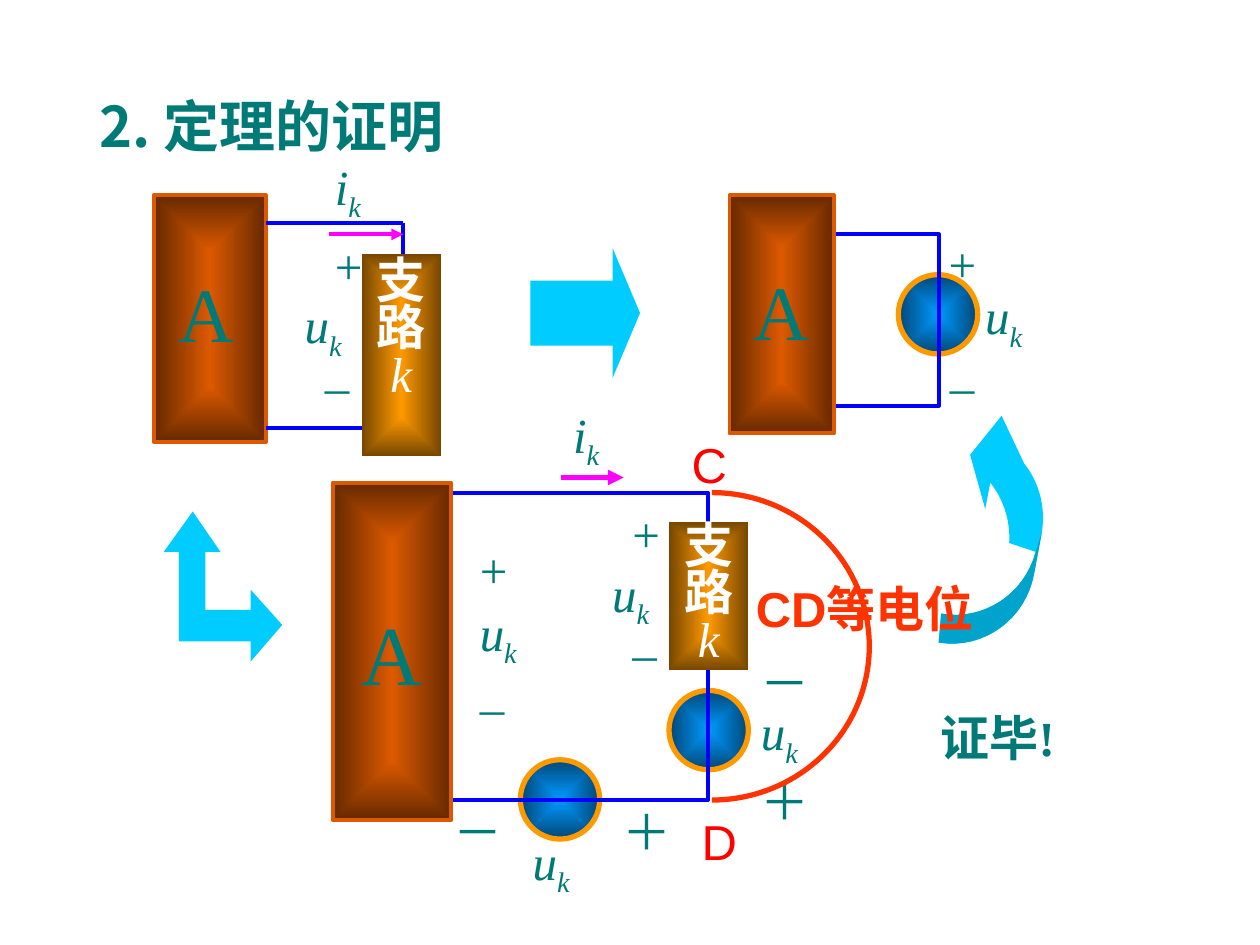
from lxml.etree import SubElement
from pptx import Presentation
from pptx.dml.color import RGBColor
from pptx.enum.shapes import MSO_CONNECTOR, MSO_SHAPE
from pptx.enum.text import MSO_ANCHOR, PP_ALIGN
from pptx.oxml import parse_xml
from pptx.oxml.ns import nsdecls, qn
from pptx.util import Inches, Pt

TEAL, WHITE, BLUE, MAGENTA = "007A77", "FFFFFF", "0000FF", "FF00FF"
RUST, ORANGE, CYAN, RED, SCARLET = "DC5900", "FF9900", "00CCFF", "FF0000", "FF3300"
SERIF, SANS, CJK = "Times New Roman", "Arial", "Noto Sans CJK SC"


def color(value):
    return RGBColor.from_string(value)


def add_run(paragraph, text, size=28, font=SERIF, fill=TEAL,
            bold=False, italic=False, subscript=False):
    run = paragraph.add_run()
    run.text = text
    run.font.size, run.font.name = Pt(size), font
    run.font.bold, run.font.italic = bold, italic
    run.font.color.rgb = color(fill)
    properties = run._r.get_or_add_rPr()
    SubElement(properties, qn("a:ea")).set("typeface", CJK)
    if subscript:
        properties.set("baseline", "-25000")


def add_label(slide, at, text, wrap=True, top_inset=0.09, **style):
    frame = slide.shapes.add_textbox(*map(Inches, at)).text_frame
    frame.word_wrap = wrap
    frame.margin_top = Inches(top_inset)
    add_run(frame.paragraphs[0], text, **style)
    return frame


def add_variable(slide, letter, at):
    """Italic letter with the subscript k."""
    frame = add_label(slide, at, letter, italic=True)
    add_run(frame.paragraphs[0], "k", italic=True, subscript=True)


def add_outline(shape, line, width):
    shape.shadow.inherit = False
    if line:
        shape.line.color.rgb = color(line)
        shape.line.width = Pt(width)
    else:
        shape.line.fill.background()


def add_glow(slide, preset, at, inner, outer, line=None, width=2.25):
    """Shape whose colour darkens from its centre to its edges."""
    shape = slide.shapes.add_shape(preset, *map(Inches, at))
    add_outline(shape, line, width)
    gradient = parse_xml(
        f'<a:gradFill {nsdecls("a")} rotWithShape="1"><a:gsLst>'
        f'<a:gs pos="0"><a:srgbClr val="{inner}"/></a:gs>'
        f'<a:gs pos="100000"><a:srgbClr val="{outer}"/></a:gs></a:gsLst>'
        '<a:path path="rect"><a:fillToRect l="50000" t="50000" r="50000" b="50000"/>'
        '</a:path></a:gradFill>')
    shape._element.spPr.find(qn("a:prstGeom")).addnext(gradient)
    return shape


def add_network(slide, at):
    return add_glow(slide, MSO_SHAPE.RECTANGLE, at, RUST, "662900", RUST)


def add_source(slide, left, top):
    add_glow(slide, MSO_SHAPE.OVAL, (left, top, 0.63, 0.63),
             "0099FF", "004776", ORANGE, 3)


def add_branch(slide, at, anchor, font):
    frame = add_glow(slide, MSO_SHAPE.RECTANGLE, at, ORANGE, "764700").text_frame
    frame.word_wrap = False
    frame.vertical_anchor = anchor
    for index, text in enumerate("支路k"):
        paragraph = frame.paragraphs[0] if index == 0 else frame.add_paragraph()
        paragraph.alignment = PP_ALIGN.CENTER
        paragraph.line_spacing = 0.8
        variable = text == "k"
        add_run(paragraph, text, font=SERIF if variable else font, fill=WHITE,
                bold=not variable, italic=variable)


def add_loop(slide, at):
    """Rectangular wire loop."""
    loop = slide.shapes.add_shape(MSO_SHAPE.RECTANGLE, *map(Inches, at))
    loop.fill.background()
    add_outline(loop, BLUE, 2.25)


def add_line(slide, ends, stroke=BLUE, width=2.25, arrow=False):
    line = slide.shapes.add_connector(MSO_CONNECTOR.STRAIGHT, *map(Inches, ends))
    line.line.color.rgb = color(stroke)
    line.line.width = Pt(width)
    if arrow:
        SubElement(line.line._get_or_add_ln(), qn("a:tailEnd")).set("type", "triangle")
    SubElement(line._element.spPr, qn("a:effectLst"))


def curve(start, *controls, steps=16):
    """Points after start along a cubic curve."""
    points = (start, *controls)
    for step in range(1, steps + 1):
        t = step / steps
        weights = ((1 - t) ** 3, 3 * t * (1 - t) ** 2, 3 * t * t * (1 - t), t ** 3)
        yield tuple(sum(w * p[axis] for w, p in zip(weights, points)) for axis in (0, 1))


def add_polygon(slide, points, fill):
    start, *rest = [(Inches(x), Inches(y)) for x, y in points]
    builder = slide.shapes.build_freeform(*start)
    builder.add_line_segments(rest, close=True)
    polygon = builder.convert_to_shape()
    polygon.fill.solid()
    polygon.fill.fore_color.rgb = color(fill)
    add_outline(polygon, None, 0)


def add_title(slide):
    title = slide.shapes.title
    title.left, title.top, title.width, title.height = map(Inches, (0.69, 0.68, 3.6, 1.17))
    frame = title.text_frame
    frame.vertical_anchor = MSO_ANCHOR.TOP
    frame.word_wrap = True
    frame.paragraphs[0].alignment = PP_ALIGN.LEFT
    add_run(frame.paragraphs[0], "2. 定理的证明", size=32, font=CJK, bold=True)


def add_branch_circuit(slide):
    add_network(slide, (1.22, 1.55, 0.89, 1.96))
    add_label(slide, (1.32, 1.99, 0.6, 0.84), "A", size=44, top_inset=0.12)
    for ends in ((2.11, 1.77, 3.2, 1.77), (3.2, 1.77, 3.2, 2.1),
                 (2.11, 3.4, 3.2, 3.4), (3.2, 3.4, 3.2, 3.19)):
        add_line(slide, ends)
    add_line(slide, (2.61, 1.86, 3.2, 1.86), MAGENTA, arrow=True)
    add_variable(slide, "i", (2.56, 1.15, 0.7, 0.63))
    add_label(slide, (2.56, 1.78, 0.32, 0.57), "+")
    add_label(slide, (2.48, 2.73, 0.5, 0.57), "–")
    add_variable(slide, "u", (2.32, 2.25, 0.72, 0.63))
    add_branch(slide, (2.87, 2.02, 0.63, 1.6), MSO_ANCHOR.TOP, SERIF)


def add_source_circuit(slide):
    add_source(slide, 7.13, 2.18)
    add_loop(slide, (6.5, 1.86, 0.95, 1.36))
    add_network(slide, (5.79, 1.55, 0.83, 1.89))
    add_label(slide, (5.88, 1.97, 0.55, 0.84), "A", size=44, top_inset=0.12)
    add_label(slide, (7.43, 1.76, 0.29, 0.57), "+")
    add_label(slide, (7.44, 2.73, 0.46, 0.57), "–")
    add_variable(slide, "u", (7.72, 2.18, 0.66, 0.63))


def add_proof_circuit(slide):
    add_source(slide, 4.13, 6.03)
    add_source(slide, 5.31, 5.48)
    add_loop(slide, (3.42, 3.91, 2.2, 2.44))
    for sign, left, top in (("－", 3.5, 6.27), ("＋", 5.94, 6.03),
                            ("＋", 4.84, 6.27), ("－", 5.94, 5.09)):
        add_label(slide, (left, top, 0.47, 0.57), sign, font=SANS)
    network = add_network(slide, (2.64, 3.83, 0.94, 2.68)).text_frame
    network.word_wrap = False
    network.vertical_anchor = MSO_ANCHOR.MIDDLE
    network.paragraphs[0].alignment = PP_ALIGN.CENTER
    add_run(network.paragraphs[0], "A", size=48)
    add_line(slide, (4.45, 3.79, 4.95, 3.79), MAGENTA, 3, arrow=True)
    add_branch(slide, (5.31, 4.14, 0.63, 1.18), MSO_ANCHOR.MIDDLE, CJK)
    for sign, left, top in (("+", 3.71, 4.19), ("–", 3.71, 5.28),
                            ("+", 4.92, 3.91), ("–", 4.92, 4.85)):
        add_label(slide, (left, top, 0.42, 0.57), sign)
    for letter, left, top, width in (("u", 4.13, 6.51, 0.83), ("u", 5.94, 5.48, 0.98),
                                     ("i", 4.45, 3.12, 0.58), ("u", 3.71, 4.69, 0.6),
                                     ("u", 4.76, 4.38, 0.6)):
        add_variable(slide, letter, (left, top, width, 0.63))


def add_step_arrows(slide):
    right = slide.shapes.add_shape(MSO_SHAPE.RIGHT_ARROW,
                                   *map(Inches, (4.21, 1.97, 0.87, 1.03)))
    right.adjustments[1] = 0.25
    right.fill.solid()
    right.fill.fore_color.rgb = color(CYAN)
    add_outline(right, None, 0)
    # Two-headed corner arrow
    add_polygon(slide, [(2.24, 4.96), (1.99, 4.68), (1.99, 4.84), (1.63, 4.84),
                        (1.63, 4.38), (1.75, 4.38), (1.53, 4.06), (1.3, 4.38),
                        (1.42, 4.38), (1.42, 5.09), (1.99, 5.09), (1.99, 5.25)], CYAN)
    # Curved arrow: light body, then its darker tail
    tail, bend, fold = (7.45, 5.1), (8.21, 4.54), (8.22, 4.38)
    outer = [tail, *curve(tail, (7.81, 5.16), (8.15, 4.91), bend), (8.27, 4.22)]
    inner = [fold, *curve(fold, (8.13, 4.72), (7.8, 4.93), (7.47, 4.87))]
    head = [*curve((8.27, 4.22), (8.3, 4.03), (8.25, 3.83), (8.13, 3.68)),
            (7.95, 3.3), (7.7, 3.61), (7.82, 4.04), (7.86, 3.83),
            *curve((7.86, 3.83), (7.97, 3.97), (8.02, 4.14), (8.01, 4.31))]
    add_polygon(slide, outer + head + inner, CYAN)
    add_polygon(slide, outer + inner, "00A3CC")


def add_equipotential(slide):
    arc = slide.shapes.add_shape(MSO_SHAPE.ARC, *map(Inches, (4.4, 3.91, 2.5, 2.44)))
    arc.adjustments[1] = 54  # quarter turn, in units of 1/60 of 100 degrees
    arc.fill.background()
    add_outline(arc, SCARLET, 3)
    add_label(slide, (5.9, 4.54, 2.02, 0.57), "CD等电位", wrap=False, top_inset=0.05,
              font=SANS, fill=SCARLET, bold=True)
    add_label(slide, (5.39, 3.36, 0.79, 0.57), "C", font=SANS, fill=RED)
    add_label(slide, (5.47, 6.35, 0.87, 0.57), "D", font=SANS, fill=RED)


def main():
    deck = Presentation()
    deck.slide_width, deck.slide_height = Inches(10), Inches(7.5)
    slide = deck.slides.add_slide(deck.slide_layouts[5])
    add_title(slide)
    add_branch_circuit(slide)
    add_source_circuit(slide)
    add_proof_circuit(slide)
    add_step_arrows(slide)
    add_equipotential(slide)
    # Conclusion
    done = add_label(slide, (7.32, 5.56, 1.2, 0.57), "证毕!", wrap=False,
                     top_inset=0.05, bold=True)
    done.vertical_anchor = MSO_ANCHOR.MIDDLE
    done.paragraphs[0].alignment = PP_ALIGN.CENTER
    deck.save("out.pptx")


if __name__ == "__main__":
    main()
